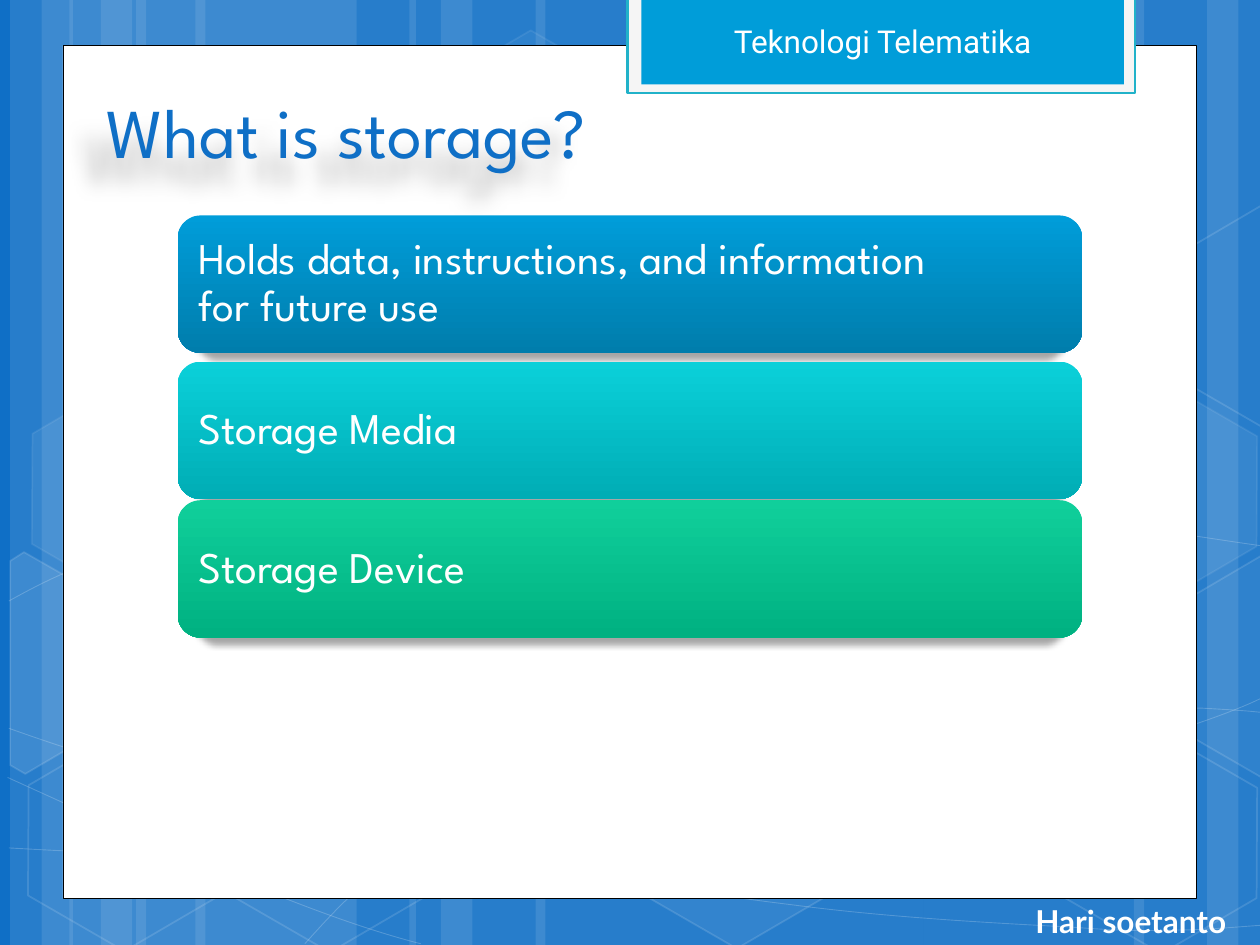
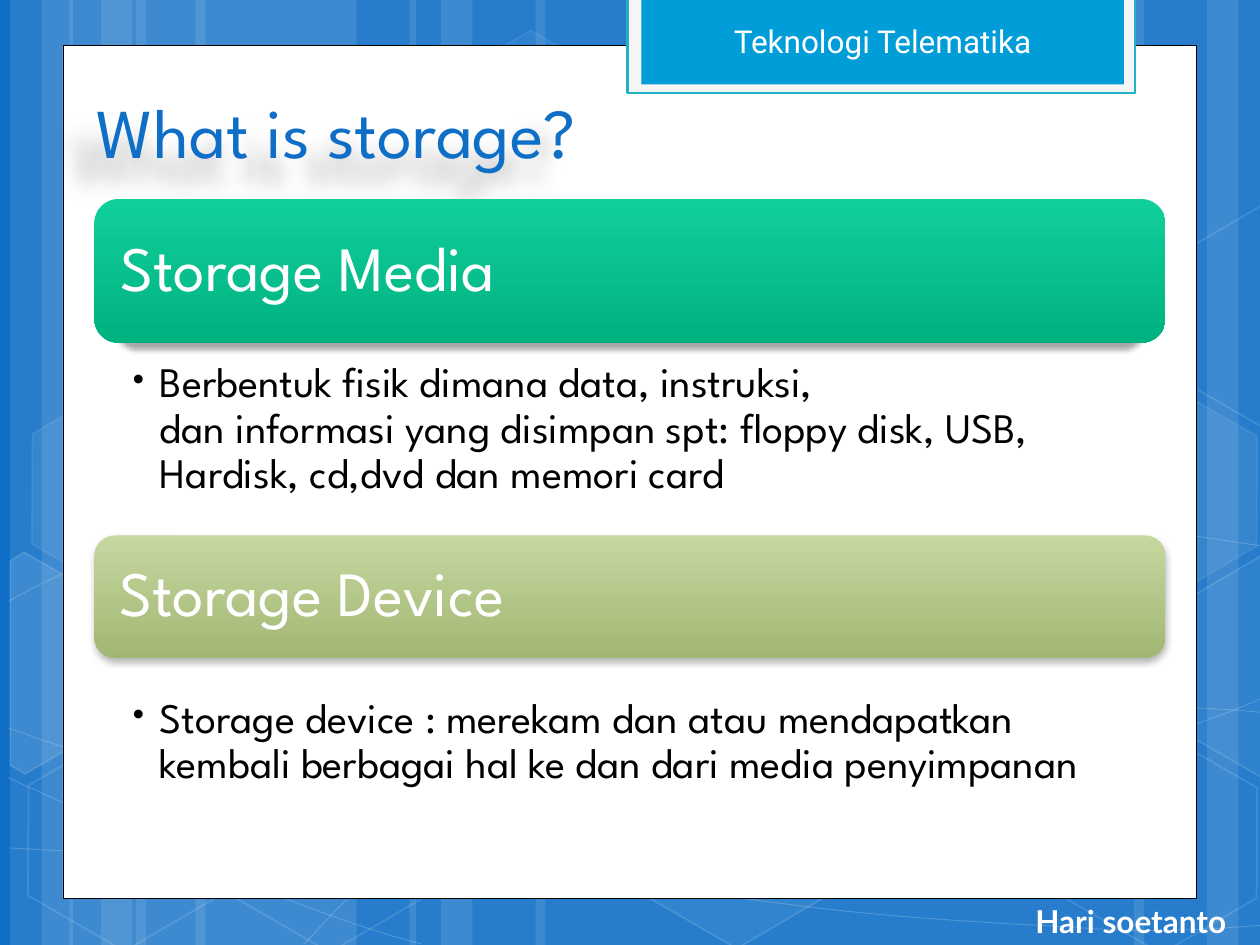
from math import cos, radians, sin

from lxml.etree import SubElement
from pptx import Presentation
from pptx.dml.color import RGBColor
from pptx.enum.shapes import MSO_SHAPE
from pptx.enum.text import MSO_ANCHOR, PP_ALIGN
from pptx.oxml.ns import qn
from pptx.util import Inches, Pt

# Palette and fonts
WHITE = RGBColor(0xFF, 0xFF, 0xFF)
BLACK = RGBColor(0x00, 0x00, 0x00)
ROYAL_BLUE = RGBColor(0x0F, 0x6F, 0xC6)
PALE_GREY = RGBColor(0xF5, 0xF5, 0xF5)
TEAL = RGBColor(0x21, 0xB2, 0xC9)
SKY = RGBColor(0x00, 0x9D, 0xD9)
BLUE_CARD = (SKY, RGBColor(0x00, 0x7D, 0xAC))
CYAN_CARD = (RGBColor(0x0B, 0xD0, 0xD9), RGBColor(0x00, 0xAD, 0xB5))
GREEN_CARD = (RGBColor(0x10, 0xCF, 0x9B), RGBColor(0x00, 0xB1, 0x81))
OLIVE_CARD = (RGBColor(0xC6, 0xD7, 0xA0), RGBColor(0xA2, 0xB7, 0x73))
HEADING_FONT, BAND_FONT, FOOTER_FONT = "League Spartan", "Roboto", "Lato"

# Shadows: opacity %, blur pt, distance pt, direction degrees, width %
CARD_SHADOW = (34, 3.5, 4, 90, 96)
SOFT_SHADOW = (28, 4, 2, 90, 100)
TITLE_SHADOW = (27, 12, 19, 135, 100)

# Content: cards are (text, colours, top, height, shadow), notes are (text, top)
BAND_TEXT = "Teknologi Telematika"
FOOTER_TEXT = "Hari soetanto"
SLIDES = [
    {
        "title": "What is storage?", "title_left": 0.75,
        "card_left": 1.41, "card_size": 25, "card_inset": 0.11,
        "cards": [
            ("Holds data, instructions, and information \vfor future use",
             BLUE_CARD, 1.71, 1.09, CARD_SHADOW),
            ("Storage Media", CYAN_CARD, 2.87, 1.09, CARD_SHADOW),
            ("Storage Device", GREEN_CARD, 3.97, 1.09, CARD_SHADOW),
        ],
        "notes": [],
    },
    {
        "title": "What is storage?", "title_left": 0.67,
        "card_left": 0.75, "card_size": 36, "card_inset": 0.15,
        "cards": [
            ("Storage Media", GREEN_CARD, 1.58, 1.14, CARD_SHADOW),
            ("Storage Device", OLIVE_CARD, 4.25, 0.97, SOFT_SHADOW),
        ],
        "notes": [
            ("Berbentuk fisik dimana data, instruksi, \vdan informasi yang disimpan "
             "spt: floppy disk, USB, Hardisk, cd,dvd dan memori card", 2.84),
            ("Storage device : merekam dan atau mendapatkan kembali berbagai hal "
             "ke dan dari media penyimpanan", 5.5),
        ],
    },
]

# Backdrop: stripes are (left, width)
WIDTH, HEIGHT = 10, 7.5
STRIPES = [
    (1.08, 1.75), (0.08, 0.5), (0.33, 0.83), (1.55, 1.75), (0.55, 0.5), (0.8, 0.83),
    (7.33, 1.75), (9.58, 0.5), (9, 0.83), (4.25, 3.08), (3.25, 0.5), (3.5, 0.83),
]
# Curves: a start point, then Bezier points in threes
CURVES = [
    [(0.07, 6.73), (0.61, 6.76), (1.15, 6.79), (1.9, 6.78), (2.65, 6.77), (3.58, 6.75),
     (4.58, 6.65), (5.58, 6.55), (7, 6.36), (7.92, 6.17), (8.83, 5.98), (9.77, 5.68),
     (10.07, 5.51)],
    [(0.07, 4.77), (0.36, 4.61), (0.65, 4.46), (1.21, 4.31), (1.78, 4.16), (2.59, 3.94),
     (3.47, 3.87), (4.36, 3.8), (5.44, 3.79), (6.54, 3.87), (7.64, 3.95), (9.47, 4.26),
     (10.07, 4.34)],
    [(0.06, 6.17), (1.27, 6.72), (2.47, 7.27), (3.34, 7.49)],
    [(0.07, 5.78), (0.38, 5.89), (0.7, 6), (1.28, 6.16), (1.86, 6.31), (2.73, 6.56),
     (3.57, 6.73), (4.4, 6.9), (5.45, 7.08), (6.28, 7.18), (7.11, 7.29), (8, 7.33),
     (8.53, 7.36), (9.05, 7.4), (9.19, 7.38), (9.45, 7.38), (9.71, 7.37), (9.89, 7.35),
     (10.07, 7.34)],
    [(2.42, 7.49), (2.6, 7.29), (2.78, 7.09), (3.02, 6.91), (3.26, 6.73), (3.6, 6.53),
     (3.88, 6.39), (4.16, 6.25), (4.33, 6.19), (4.7, 6.09), (5.06, 5.99), (5.73, 5.85),
     (6.08, 5.78), (6.44, 5.71), (6.49, 5.71), (6.8, 5.69), (7.11, 5.66), (7.6, 5.63),
     (7.94, 5.62), (8.29, 5.61), (8.86, 5.62), (8.86, 5.62), (8.86, 5.62), (9.53, 5.62),
     (9.53, 5.62), (9.71, 5.63), (9.88, 5.64), (9.97, 5.65), (10.06, 5.66), (10.03, 5.65),
     (10.06, 5.66)],
]
# Hexagons: left, top, fill opacity (0 is hollow), line opacity
TILT = 30
HEXAGONS = [
    (3.34, 0.36, 4, 8), (4.97, 5.89, 6, 12), (0.11, 5.91, 0, 12), (0.14, 3.12, 7, 8),
    (1.74, 5.92, 0, 12), (7.53, 4.53, 10, 12), (8.34, 5.93, 0, 12), (8.34, 3.14, 7, 8),
]
# Hexagons cut by the slide edge: centre, corners as seen, fill opacity
CUT_HEXAGONS = [
    ((0.36, 5.35), [(0.08, 4.45), (0.19, 4.38), (0.96, 4.82), (0.95, 5.7), (0.2, 6.14),
                    (0.08, 6.07)], 10),
    ((9.85, 5.2), [(9.26, 4.85), (10.01, 4.41), (10.09, 4.46), (10.09, 6.13),
                   (10.02, 6.17), (9.26, 5.73)], 4),
    ((9.85, 2.41), [(9.26, 2.07), (10.01, 1.63), (10.1, 1.68), (10.09, 3.35),
                    (10.02, 3.39), (9.26, 2.95)], 0),
]


def set_opacity(parent, percent):
    for color in parent.iter(qn("a:srgbClr")):
        SubElement(color, qn("a:alpha"), val=str(percent * 1000))


def paint(shape, fill=None, line=None, line_width=1, fill_opacity=100, line_opacity=100):
    shape.shadow.inherit = False
    properties = shape._element.spPr
    if fill is None or fill_opacity == 0:
        shape.fill.background()
    else:
        shape.fill.solid()
        shape.fill.fore_color.rgb = fill
        if fill_opacity < 100:
            set_opacity(properties.find(qn("a:solidFill")), fill_opacity)
    if line is None:
        shape.line.fill.background()
    else:
        shape.line.color.rgb = line
        shape.line.width = Pt(line_width)
        if line_opacity < 100:
            set_opacity(properties.find(qn("a:ln")), line_opacity)
    return shape


def add_shadow(shape, opacity, blur, distance, direction, width):
    shape.shadow.inherit = False
    effects = shape._element.spPr.find(qn("a:effectLst"))
    shadow = SubElement(effects, qn("a:outerShdw"), blurRad=str(Pt(blur)),
                        dist=str(Pt(distance)), dir=str(direction * 60000),
                        sx=str(width * 1000), algn="ctr", rotWithShape="0")
    SubElement(shadow, qn("a:srgbClr"), val=str(BLACK))
    set_opacity(shadow, opacity)


def add_box(slide, left, top, width, height, kind=MSO_SHAPE.RECTANGLE):
    return slide.shapes.add_shape(kind, Inches(left), Inches(top), Inches(width), Inches(height))


def add_textbox(slide, left, top, width, height):
    return slide.shapes.add_textbox(Inches(left), Inches(top), Inches(width), Inches(height))


def add_outline(slide, points, close):
    corners = [(Inches(x), Inches(y)) for x, y in points]
    builder = slide.shapes.build_freeform(*corners[0])
    builder.add_line_segments(corners[1:], close=close)
    return builder.convert_to_shape()


def add_curve(slide, points):
    """Turn every three line segments into one Bezier segment."""
    curve = add_outline(slide, points, False)
    outline = next(curve._element.iter(qn("a:path")))
    segments = outline.findall(qn("a:lnTo"))
    for start in range(0, len(segments), 3):
        bezier = SubElement(outline, qn("a:cubicBezTo"))
        for segment in segments[start:start + 3]:
            bezier.append(segment[0])
            outline.remove(segment)
    return curve


def add_tilted_outline(slide, center, points):
    """Turn the corners back by the tilt, then rotate the finished shape."""
    cosine, sine = cos(radians(TILT)), sin(radians(TILT))
    center_x, center_y = center
    upright = [(center_x + (x - center_x) * cosine + (y - center_y) * sine,
                center_y - (x - center_x) * sine + (y - center_y) * cosine)
               for x, y in points]
    shape = add_outline(slide, upright, True)
    shape.rotation = TILT
    return shape


def write(shape, text, font=HEADING_FONT, size=18, color=WHITE, bold=False,
          align=PP_ALIGN.LEFT, anchor=MSO_ANCHOR.MIDDLE, insets=(0.1, 0.05, 0.1, 0.05),
          spacing=None, bullet=None):
    frame = shape.text_frame
    frame.word_wrap = True
    frame.vertical_anchor = anchor
    (frame.margin_left, frame.margin_top,
     frame.margin_right, frame.margin_bottom) = map(Inches, insets)
    paragraph = frame.paragraphs[0]
    paragraph.text = text
    paragraph.alignment = align
    paragraph.line_spacing = spacing
    if bullet:
        paragraph.level = 1
        properties = paragraph._p.get_or_add_pPr()
        properties.set("marL", str(Inches(0.25)))
        properties.set("indent", str(-Inches(0.25)))
        SubElement(properties, qn("a:buFont"), typeface=font)
        SubElement(properties, qn("a:buChar"), char=bullet)
    for run in paragraph.runs:
        run.font.name = font
        run.font.size = Pt(size)
        run.font.bold = bold
        run.font.color.rgb = color


def draw_backdrop(slide):
    slide.background.fill.solid()
    slide.background.fill.fore_color.rgb = ROYAL_BLUE
    for left, width in STRIPES:
        paint(add_box(slide, left, 0, width, HEIGHT), WHITE, fill_opacity=10)
    for points in CURVES:
        paint(add_curve(slide, points), None, WHITE, 0.5, line_opacity=20)
    for left, top, fill_opacity, line_opacity in HEXAGONS:
        hexagon = add_box(slide, left, top, 1.75, 1.52, MSO_SHAPE.HEXAGON)
        hexagon.adjustments[0] = 0.285
        hexagon.rotation = TILT
        paint(hexagon, WHITE, WHITE, fill_opacity=fill_opacity, line_opacity=line_opacity)
    for center, corners, fill_opacity in CUT_HEXAGONS:
        paint(add_tilted_outline(slide, center, corners), WHITE, WHITE,
              fill_opacity=fill_opacity, line_opacity=12)


def draw_frame(slide):
    # White page, band with its border, footer
    paint(add_box(slide, 0.5, 0.36, WIDTH - 1, 6.77), WHITE, BLACK, 0.5)
    paint(add_box(slide, 4.98, -0.02, 4.03, 0.76), PALE_GREY, TEAL, 1.25)
    band = paint(add_box(slide, 5.09, -0.02, 3.83, 0.69), SKY)
    write(band, BAND_TEXT, font=BAND_FONT, align=PP_ALIGN.CENTER)
    write(add_textbox(slide, 6, 7.11, 3.83, 0.4), FOOTER_TEXT, font=FOOTER_FONT,
          bold=True, align=PP_ALIGN.RIGHT)


def draw_content(slide, content):
    title = add_textbox(slide, content["title_left"], 0.58, 8.5, 0.84)
    write(title, content["title"], size=40, color=ROYAL_BLUE, anchor=MSO_ANCHOR.BOTTOM)
    add_shadow(title, *TITLE_SHADOW)
    left = content["card_left"]
    for text, colors, top, height, shadow in content["cards"]:
        card = paint(add_box(slide, left, top, WIDTH - 2 * left, height,
                             MSO_SHAPE.ROUNDED_RECTANGLE))
        card.fill.gradient()
        card.fill.gradient_angle = 270
        for stop, color in zip(card.fill.gradient_stops, colors):
            stop.color.rgb = color
        add_shadow(card, *shadow)
        write(card, text, size=content["card_size"], spacing=0.9,
              insets=[content["card_inset"]] * 4)
    for text, top in content["notes"]:
        write(add_textbox(slide, left, top, WIDTH - 2 * left, 1.2), text, size=24,
              color=BLACK, anchor=MSO_ANCHOR.TOP, spacing=0.9, bullet="•",
              insets=(0.27, 0.03, 0.19, 0.03))


def main():
    presentation = Presentation()
    presentation.slide_width = Inches(WIDTH)
    presentation.slide_height = Inches(HEIGHT)
    for content in SLIDES:
        slide = presentation.slides.add_slide(presentation.slide_layouts[6])
        draw_backdrop(slide)
        draw_frame(slide)
        draw_content(slide, content)
    presentation.save("out.pptx")


if __name__ == "__main__":
    main()
